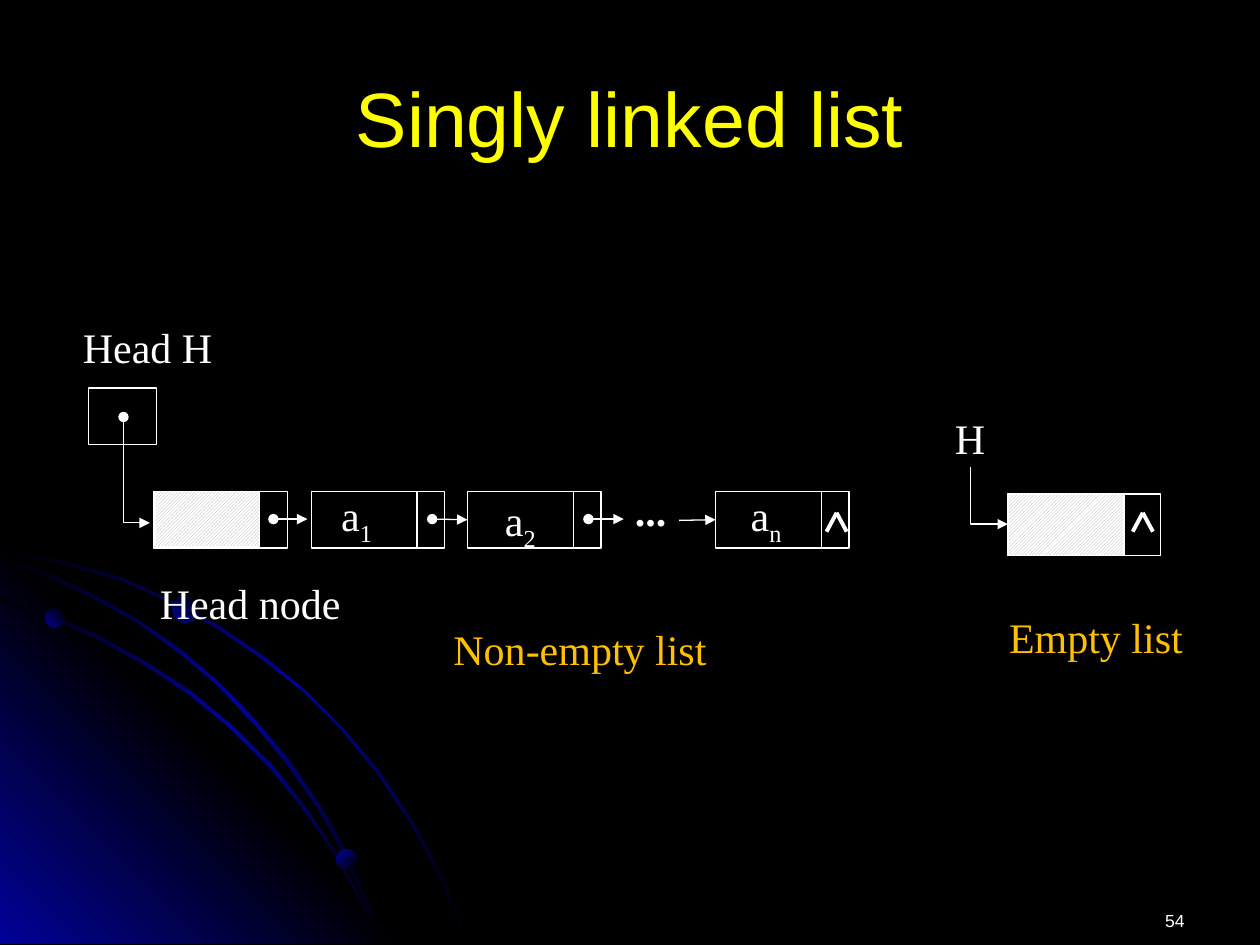
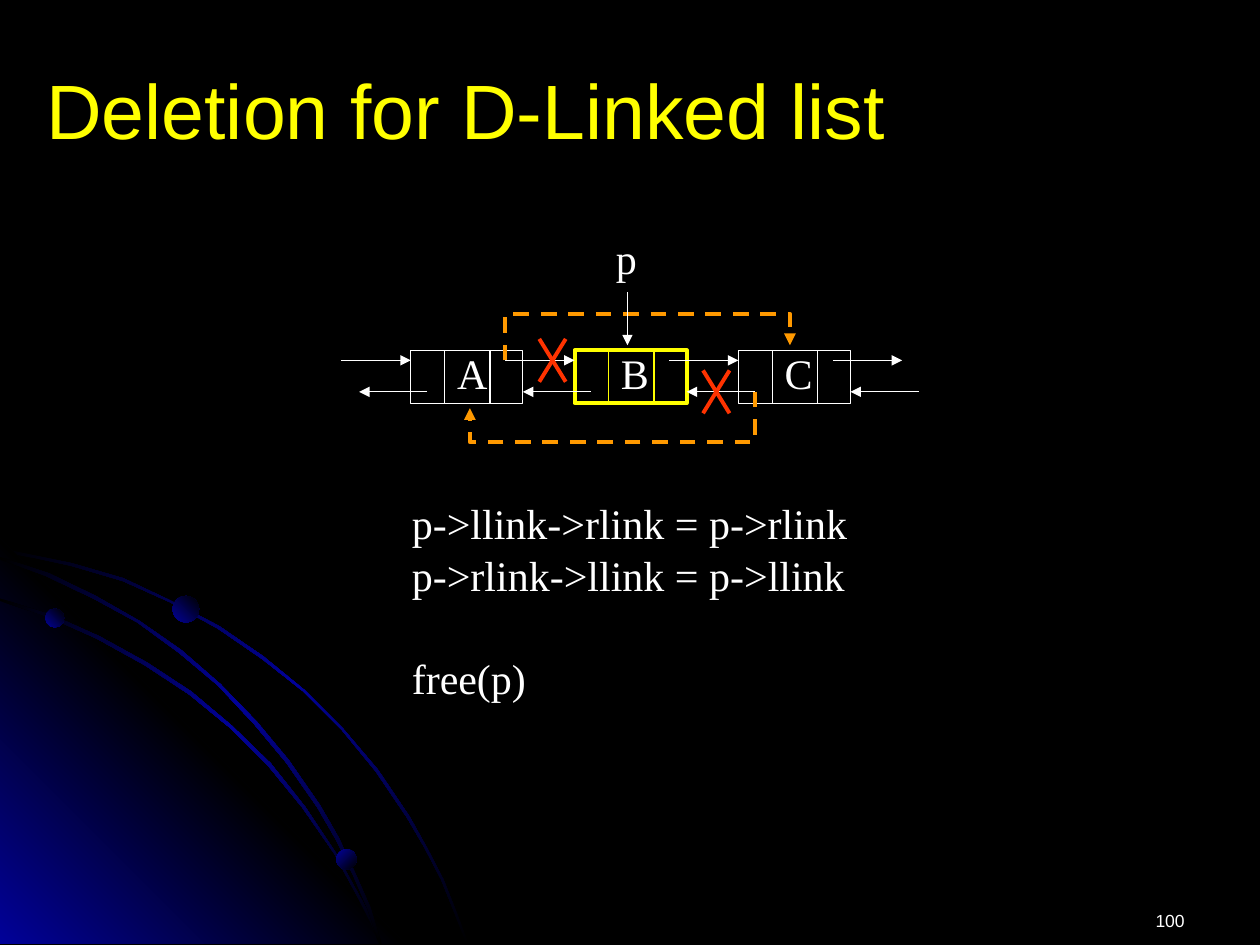
"""Build two slides on linked lists."""
from pptx import Presentation
from pptx.dml.color import RGBColor
from pptx.enum.dml import MSO_LINE, MSO_PATTERN
from pptx.enum.shapes import MSO_CONNECTOR, MSO_SHAPE
from pptx.enum.text import MSO_ANCHOR, PP_ALIGN
from pptx.oxml import parse_xml
from pptx.oxml.ns import nsdecls, qn
from pptx.oxml.xmlchemy import OxmlElement
from pptx.util import Cm, Pt

RECT, OVAL = MSO_SHAPE.RECTANGLE, MSO_SHAPE.OVAL
STRAIGHT, ELBOW = MSO_CONNECTOR.STRAIGHT, MSO_CONNECTOR.ELBOW
LEFT, CENTER, RIGHT = PP_ALIGN.LEFT, PP_ALIGN.CENTER, PP_ALIGN.RIGHT
TOP, MIDDLE = MSO_ANCHOR.TOP, MSO_ANCHOR.MIDDLE
DASH, HATCH = MSO_LINE.DASH, MSO_PATTERN.LIGHT_UPWARD_DIAGONAL

SANS, SERIF = "Arial", "Times New Roman"
COLORS = {
    "black": "000000", "white": "FFFFFF", "yellow": "FFFF00", "gold": "FFC000",
    "orange": "FF9900", "red": "FF3300", "gray": "B2B2B2", "blue": "010199",
}
GLOW = ("black", "blue", "black")
WEDGE = [(3.22, 7.49), (0, 7.49), (0, 4.27)]
ARCS = [
    [(0.57, 4.47), (0.28, 4.41), (0, 4.35), (0, 4.38), (0.28, 4.43), (0.56, 4.49),
     (0.97, 4.61), (1.35, 4.78), (1.73, 4.99), (2.08, 5.23), (2.41, 5.49),
     (2.71, 5.79), (2.98, 6.12), (3.23, 6.49), (3.37, 6.73), (3.5, 6.98),
     (3.6, 7.23), (3.7, 7.49), (3.72, 7.49), (3.62, 7.23), (3.52, 6.98),
     (3.39, 6.73), (3.25, 6.48), (3, 6.11), (2.72, 5.78), (2.42, 5.48),
     (2.09, 5.21), (1.74, 4.97), (1.36, 4.77), (0.98, 4.59)],
    [(2.85, 7.14), (2.94, 7.32), (3.01, 7.49), (3.03, 7.49), (2.96, 7.3),
     (2.86, 7.12), (2.66, 6.76), (2.42, 6.4), (2.15, 6.06), (1.84, 5.76),
     (1.52, 5.49), (1.17, 5.26), (0.79, 5.05), (0.41, 4.88), (0, 4.75), (0, 4.77),
     (0.39, 4.9), (0.77, 5.07), (1.15, 5.28), (1.5, 5.51), (1.83, 5.78),
     (2.13, 6.08), (2.4, 6.41), (2.65, 6.77)],
    [(0, 4.42), (0, 4.44), (0.36, 4.57), (0.74, 4.75), (1.09, 4.94), (1.42, 5.18),
     (1.73, 5.44), (2.02, 5.75), (2.27, 6.05), (2.52, 6.41), (2.67, 6.67),
     (2.8, 6.94), (2.92, 7.22), (3.01, 7.49), (3.03, 7.49), (2.94, 7.2),
     (2.82, 6.93), (2.69, 6.65), (2.54, 6.39), (2.29, 6.03), (2.04, 5.73),
     (1.75, 5.43), (1.44, 5.16), (1.11, 4.93), (0.76, 4.73), (0.39, 4.55)],
]
BEADS = [(0.36, 4.83, 0.15, 315), (2.67, 6.74, 0.16, 45), (1.37, 4.73, 0.21, 315)]


def cm(*inches):
    return [Cm(value * 2.54) for value in inches]


def rgb(name):
    return RGBColor.from_string(COLORS[name])


class Deck:
    def __init__(self):
        self.show = Presentation()
        self.show.slide_width, self.show.slide_height = cm(10, 7.5)
        self.slide = None

    def start(self, title, number, box, align=LEFT):
        self.slide = self.show.slides.add_slide(self.show.slide_layouts[6])
        back = self.slide.background.fill
        back.solid()
        back.fore_color.rgb = rgb("black")
        for arc in ARCS[:1]:
            self.blend(self.trace(arc, True), GLOW, 45)
        self.blend(self.trace(WEDGE, True), ("blue", "black", "blue"), 315)
        for arc in ARCS[1:]:
            self.blend(self.trace(arc, True), GLOW, 45)
        for left, top, size, angle in BEADS:
            bead = self.shape(OVAL, (left, top, size, size), color=None)
            self.blend(bead, ("blue", "black"), angle)
        self.text(title, box, size=44, font=SANS, color="yellow", align=align,
                  anchor=MIDDLE, wrap=True, lead=1)
        self.text(number, (7.17, 7.17, 2.33, 0.33), size=10, font=SANS,
                  align=RIGHT, wrap=True, lead=1)

    def text(self, text, box, size=24, font=SERIF, color="white", bold=False,
             align=LEFT, anchor=TOP, wrap=False, lead=1.04, sub="", gaps=()):
        frame = self.slide.shapes.add_textbox(*cm(*box)).text_frame
        frame.word_wrap, frame.vertical_anchor = wrap, anchor
        for row, line in enumerate(text.split("\n")):
            para = frame.paragraphs[0] if row == 0 else frame.add_paragraph()
            para.alignment, para.line_spacing = align, lead
            if row in gaps:
                para.space_before = Pt(gaps[row])
            for part in filter(None, (line, sub)):
                run = para.add_run()
                run.text = part
                run.font.size, run.font.name = Pt(size), font
                run.font.bold, run.font.color.rgb = bold, rgb(color)
                if part is sub:
                    run._r.get_or_add_rPr().set("baseline", "-25000")

    def stroke(self, item, color, width, head=None, tail=None, dash=None):
        item.line.color.rgb = rgb(color)
        item.line.width = Pt(width)
        if dash:
            item.line.dash_style = dash
        edge = item._element.spPr.find(qn("a:ln"))
        for tag, kind in (("a:headEnd", head), ("a:tailEnd", tail)):
            if kind:
                end = OxmlElement(tag)
                end.set("type", kind)
                edge.append(end)

    def shape(self, kind, box, color="white", width=0.75):
        item = self.slide.shapes.add_shape(kind, *cm(*box))
        item.shadow.inherit = False
        item.fill.background()
        if color:
            self.stroke(item, color, width)
        else:
            item.line.fill.background()
        return item

    def hatch(self, box):
        fill = self.shape(RECT, box).fill
        fill.patterned()
        fill.pattern = HATCH
        fill.fore_color.rgb, fill.back_color.rgb = rgb("gray"), rgb("white")

    def trace(self, points, close=False, color=None, width=0.75, **ends):
        first, *rest = [cm(*point) for point in points]
        pen = self.slide.shapes.build_freeform(*first)
        pen.add_line_segments(rest, close=close)
        item = pen.convert_to_shape()
        item.shadow.inherit = False
        item.fill.background()
        if color:
            self.stroke(item, color, width, **ends)
        else:
            item.line.fill.background()
        return item

    def blend(self, item, names, angle):
        step = 100000 // (len(names) - 1)
        stops = "".join(
            f'<a:gs pos="{step * i}"><a:srgbClr val="{COLORS[name]}"/></a:gs>'
            for i, name in enumerate(names))
        fill = parse_xml(
            f'<a:gradFill {nsdecls("a")} rotWithShape="1"><a:gsLst>{stops}</a:gsLst>'
            f'<a:lin ang="{angle * 60000}" scaled="0"/></a:gradFill>')
        props = item._element.spPr
        props.replace(props.find(qn("a:noFill")), fill)

    def line(self, start, end, color="white", width=0.75, kind=STRAIGHT, goal=None,
             **ends):
        item = self.slide.shapes.add_connector(kind, *cm(*start, *end))
        if goal:
            item.end_connect(goal, 1)
        self.stroke(item, color, width, **ends)
        item._element.spPr.append(OxmlElement("a:effectLst"))
        return item

    def arrow(self, start, end, **style):
        return self.line(start, end, tail="triangle", **style)

    def bend(self, start, end):
        (x1, y1), (x2, y2) = start, end
        midx, midy = (x1 + x2) / 2, (y1 + y2) / 2
        halfw, halfh = (y2 - y1) / 2, (x2 - x1) / 2
        item = self.arrow((midx + halfw, midy - halfh), (midx - halfw, midy + halfh),
                          kind=ELBOW)
        props = item._element.spPr
        props.find(qn("a:xfrm")).set("rot", str(270 * 60000))
        props.find(qn("a:prstGeom")).set("prst", "bentConnector2")

    def caret(self, left):
        for foot in (left, left + 0.16):
            self.line((foot, 4.22), (left + 0.08, 4.07), width=2.25)

    def cross(self, left, top):
        low = top + 0.34
        for y1, y2 in ((top, low), (low, top)):
            self.line((left, y1), (left + 0.21, y2), color="red", width=2.25)


def single(deck):
    deck.start("Singly linked list", "54", (0.5, 0.3, 9, 1.25), CENTER)
    top, wide, high = 3.9, 1.06, 0.45
    nodes = {}
    for left, sub, textx, texty in ((2.47, "1", 2.61, 3.82), (3.71, "2", 3.91, 3.86),
                                    (5.68, "n", 5.86, 3.82)):
        nodes[sub] = deck.shape(RECT, (left, top, wide, high))
        split = left + 0.84
        deck.line((split, top), (split, top + high))
        deck.text("a", (textx, texty, 0.46, 0.5), sub=sub)
    deck.shape(RECT, (1.22, top, wide, high))
    deck.hatch((1.23, top, 0.83, 0.44))
    deck.shape(RECT, (8, 3.92, 1.21, 0.49))
    deck.hatch((8, 3.92, 0.92, 0.49))
    deck.shape(RECT, (0.7, 3.08, 0.54, high))
    for start, end, goal in ((2.17, 2.44, None), (3.43, 3.7, nodes["2"]),
                             (4.67, 4.95, None)):
        deck.arrow((start, 4.12), (end, 4.12), head="oval", goal=goal)
    deck.arrow((5.39, 4.13), (5.67, 4.13), goal=nodes["n"])
    deck.trace([(0.98, 3.31), (0.98, 4.15), (1.19, 4.15)], color="white",
               head="oval", tail="triangle")
    deck.bend((7.7, 3.71), (8, 4.16))
    deck.caret(6.56)
    deck.caret(8.99)
    deck.text("...", (4.94, 3.78, 0.45, 0.5), bold=True)
    for label, left, high, wide, color in (
            ("Head H", 0.56, 2.49, 1.23, "white"),
            ("Head node", 1.17, 4.52, 1.64, "white"),
            ("H", 7.48, 3.21, 0.44, "white"),
            ("Non-empty list", 3.5, 4.88, 2.21, "gold"),
            ("Empty list", 7.91, 4.79, 1.58, "gold")):
        deck.text(label, (left, high, wide, 0.5), color=color)


def double(deck):
    deck.start("Deletion for D-Linked list", "100", (0.27, 0.24, 8.5, 1.25))
    code = "p->llink->rlink = p->rlink\np->rlink->llink = p->llink\nfree(p)"
    deck.text(code, (3.17, 3.88, 3.69, 2.12), gaps={2: 29})
    pitch, top, high = 1.3, 2.78, 0.42
    for i, name in enumerate("ABC"):
        left = 3.26 + pitch * i
        color, width = ("yellow", 2.25) if name == "B" else ("white", 0.75)
        deck.shape(RECT, (left, top, 0.89, high), color, width)
        for split in (left + 0.63, left + 0.27):
            deck.line((split, top), (split, top + high), color=color)
        deck.text(name, (left + 0.27, 2.69, 0.44, 0.5))
    for i in range(4):
        shift = pitch * i
        deck.arrow((2.71 + shift, 2.86), (3.26 + shift, 2.86))
        deck.arrow((3.39 + shift, 3.11), (2.85 + shift, 3.11))
    for route in ([(4.01, 2.86), (4.01, 2.49), (6.27, 2.49), (6.27, 2.74)],
                  [(5.99, 3.11), (5.99, 3.51), (3.73, 3.51), (3.73, 3.24)]):
        deck.trace(route, color="orange", width=2.25, tail="triangle", dash=DASH)
    deck.cross(4.28, 2.69)
    deck.cross(5.58, 2.94)
    deck.text("p", (4.79, 1.78, 0.37, 0.5))
    deck.arrow((4.98, 2.32), (4.98, 2.74))


def main():
    deck = Deck()
    single(deck)
    double(deck)
    deck.show.save("out.pptx")


if __name__ == "__main__":
    main()
